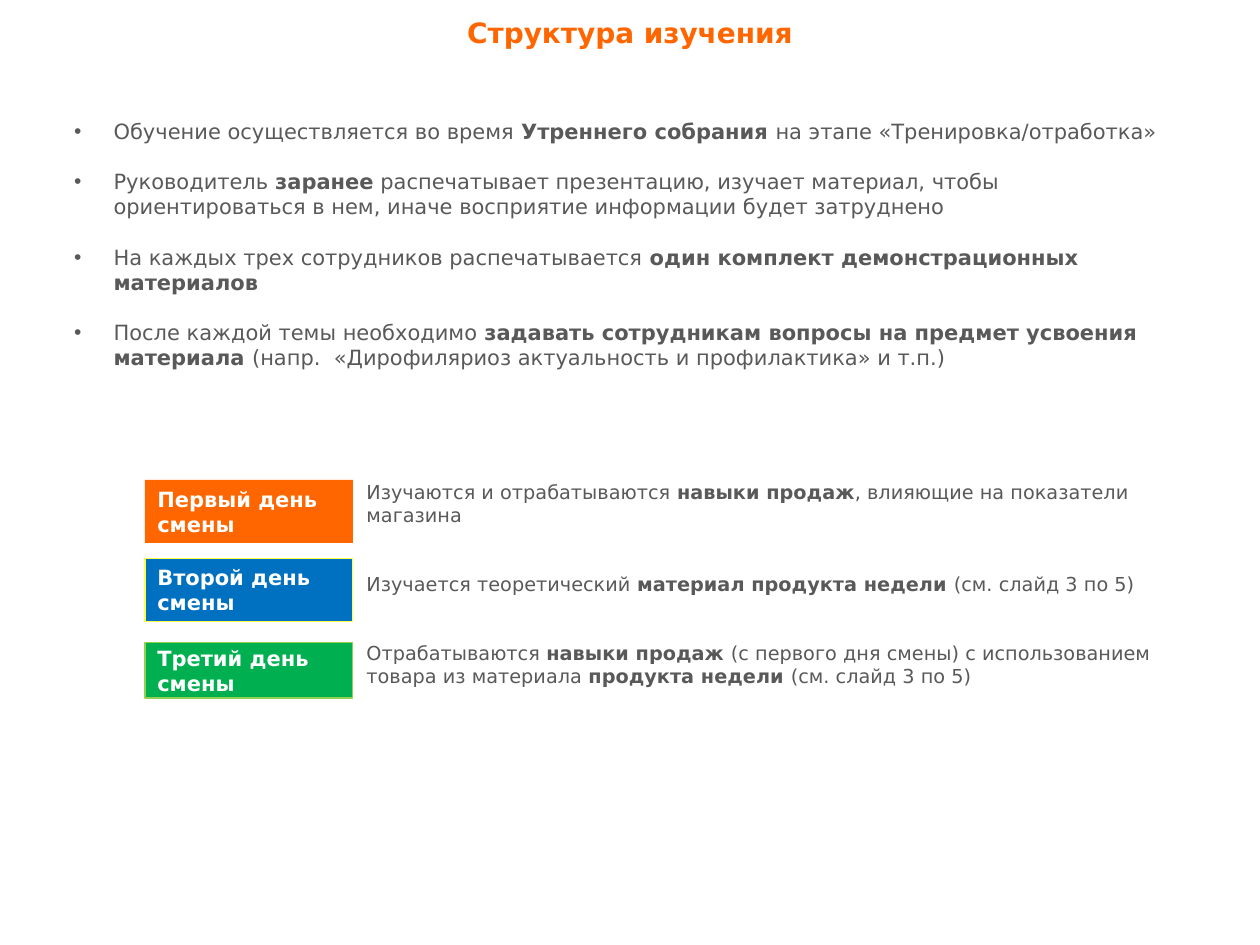
from lxml.etree import SubElement
from pptx import Presentation
from pptx.dml.color import RGBColor
from pptx.enum.shapes import MSO_SHAPE
from pptx.enum.text import MSO_ANCHOR, PP_ALIGN
from pptx.oxml.ns import qn
from pptx.util import Pt

FONT = "DejaVu Sans"
COLORS = {
    "orange": "FF6600",
    "blue": "0070C0",
    "green": "00B050",
    "yellow": "FFFF47",
    "lime": "92D050",
    "gray": "595959",
    "white": "FFFFFF",
}


def format_run(run, size, color, bold):
    run.font.name = FONT
    run.font.size = Pt(size)
    run.font.bold = bold
    run.font.color.rgb = RGBColor.from_string(COLORS[color])


def add_text(slide, box, texts, size, gap):
    """Add a text box with one paragraph per text; ** switches bold on and off."""
    frame = slide.shapes.add_textbox(*map(Pt, box)).text_frame
    frame.word_wrap = True
    for index, text in enumerate(texts):
        paragraph = frame.paragraphs[0] if index == 0 else frame.add_paragraph()
        paragraph.space_before = Pt(gap if index else 0)
        for part_index, part in enumerate(text.split("**")):
            if part:
                run = paragraph.add_run()
                run.text = part
                format_run(run, size, "gray", part_index % 2 == 1)
    return frame


presentation = Presentation()
presentation.slide_width, presentation.slide_height = Pt(720), Pt(540)
slide = presentation.slides.add_slide(presentation.slide_layouts[5])

# Title
title = slide.shapes.title
title.left, title.top, title.width, title.height = Pt(0), Pt(5), Pt(720), Pt(26.6)
title.text_frame.text = "Структура изучения"
title.text_frame.vertical_anchor = MSO_ANCHOR.TOP
title_paragraph = title.text_frame.paragraphs[0]
title_paragraph.alignment = PP_ALIGN.CENTER
format_run(title_paragraph.runs[0], 16, "orange", True)

# Training rules
rules = [
    "Обучение осуществляется во время **Утреннего собрания **на этапе «Тренировка/отработка»",
    "Руководитель **заранее** распечатывает презентацию, изучает материал, чтобы "
    "ориентироваться в нем, иначе восприятие информации будет затруднено",
    "На каждых трех сотрудников распечатывается **один комплект демонстрационных материалов**",
    "После каждой темы необходимо **задавать сотрудникам вопросы на предмет усвоения "
    "материала **(напр.  «Дирофиляриоз актуальность и профилактика» и т.п.)",
]
rules_frame = add_text(slide, (35.3, 64, 651.6, 137), rules, 12, 14.4)
for paragraph in rules_frame.paragraphs:
    properties = paragraph._p.get_or_add_pPr()
    properties.set("marL", str(Pt(22.5)))
    properties.set("indent", str(Pt(-22.5)))
    bullet_color = SubElement(properties, qn("a:buClr"))
    SubElement(bullet_color, qn("a:srgbClr"), val=COLORS["gray"])
    SubElement(properties, qn("a:buFont"), typeface="Arial")
    SubElement(properties, qn("a:buChar"), char="•")

# Shift days
day_contents = [
    "Изучаются и отрабатываются **навыки продаж**, влияющие на показатели магазина",
    "Изучается теоретический **материал продукта недели **(см. слайд 3 по 5)",
    "Отрабатываются **навыки продаж **(с первого дня смены) с использованием товара "
    "из материала **продукта недели **(см. слайд 3 по 5)",
]
add_text(slide, (202.3, 270.7, 481.7, 113), day_contents, 11, 26.4)

days = [
    ("Первый день смены", 274.3, 36, "orange", None),
    ("Второй день смены", 319, 36, "blue", "yellow"),
    ("Третий день смены", 367.2, 31.7, "green", "lime"),
]
for text, top, height, fill, line in days:
    label = slide.shapes.add_shape(
        MSO_SHAPE.RECTANGLE, Pt(82.8), Pt(top), Pt(118.8), Pt(height))
    label.shadow.inherit = False
    label.fill.solid()
    label.fill.fore_color.rgb = RGBColor.from_string(COLORS[fill])
    if line:
        label.line.color.rgb = RGBColor.from_string(COLORS[line])
        label.line.width = Pt(0.75)
    else:
        label.line.fill.background()
    label.text_frame.text = text
    label.text_frame.word_wrap = True
    label.text_frame.vertical_anchor = MSO_ANCHOR.MIDDLE
    paragraph = label.text_frame.paragraphs[0]
    paragraph.alignment = PP_ALIGN.LEFT
    format_run(paragraph.runs[0], 12, "white", True)

presentation.save("out.pptx")
